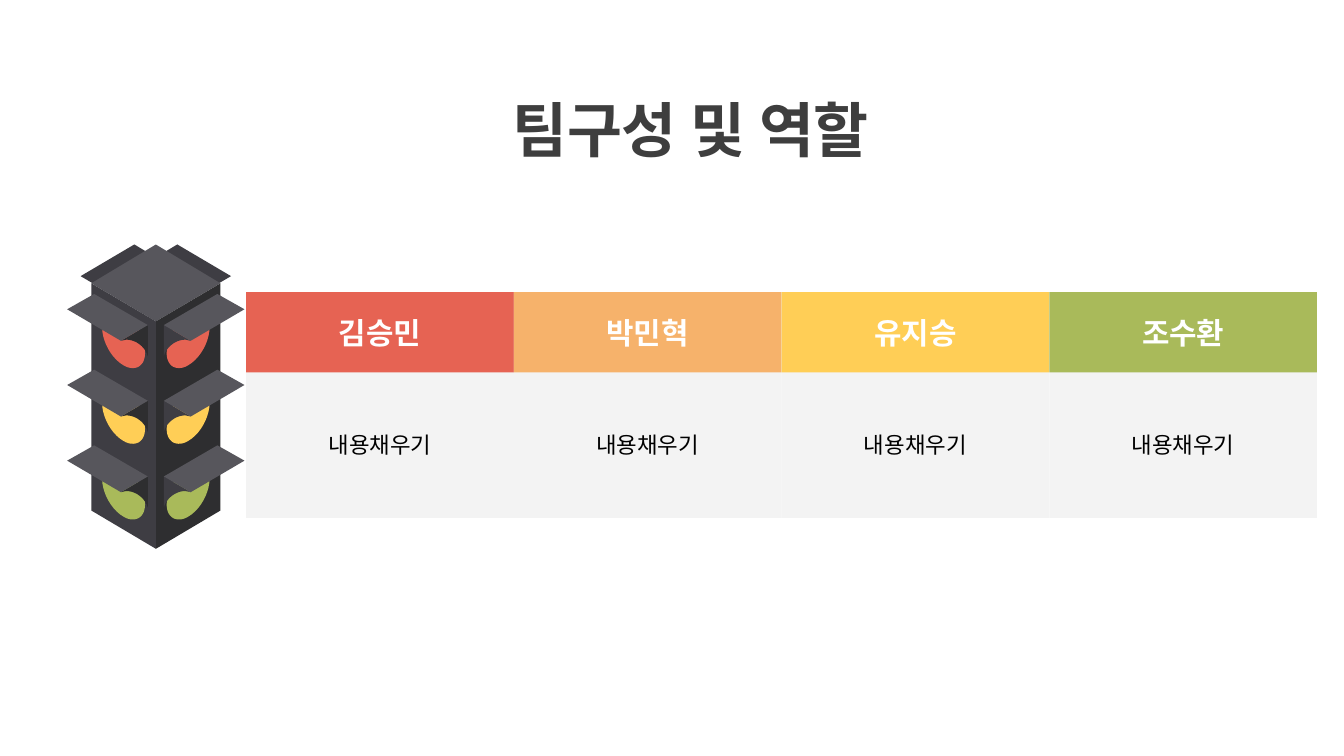
import pptx
import pptx.util
import pptx.dml.color
import pptx.enum.shapes
import pptx.enum.text

Pt = pptx.util.Pt
RGB = pptx.dml.color.RGBColor
ALIGN = pptx.enum.text.PP_ALIGN
ANCHOR = pptx.enum.text.MSO_ANCHOR

WHITE = RGB(0xFF, 0xFF, 0xFF)
BLACK = RGB(0x00, 0x00, 0x00)
INK = RGB(0x3E, 0x3E, 0x3E)
PALE = RGB(0xF3, 0xF3, 0xF3)
RED = RGB(0xE6, 0x63, 0x53)
ORANGE = RGB(0xF6, 0xB2, 0x6B)
YELLOW = RGB(0xFF, 0xCE, 0x56)
GREEN = RGB(0xA9, 0xBA, 0x5A)
GREY = RGB(0x57, 0x56, 0x5C)
DARK = RGB(0x3E, 0x3D, 0x43)
DEEP = RGB(0x2E, 0x2E, 0x30)

TEAM = [("김승민", RED), ("박민혁", ORANGE), ("유지승", YELLOW), ("조수환", GREEN)]
TASK = "내용채우기"

# Table columns
LEFT, TOP, WIDTH = 131.9, 156.5, 143.4

# Traffic light: x runs outward from the centre line, y down from each row
AXIS, ROW, PITCH = 83.5, 157.5, 40.55
FLAP = [(11.5, 131), (-2.9, 139.7), (25.9, 156.4), (40.3, 148)]
ROOF = [(0, 131), (34.6, 151.8), (0, 172.2), (-34.6, 151.8)]
WALL = [(34.6, 151.8), (0, 172.2), (0, 294), (34.6, 273.5)]
VISOR = [(33, 0), (4.3, 16.7), (18.7, 25.1), (47.5, 8.2)]
# A six-number entry is a curve: two control points and an end point
HOOD = [(4.3, 16.7), (4.3, 33.3), (5.8, 28.2, 10.8, 24.5, 15.8, 24.5), (18.7, 25.1)]
LENS = [(22.3, 9.4), (20.9, 9.4, 19.4, 9.8, 17.3, 10.9),
        (10.8, 14.5, 5.8, 23.8, 5.8, 31.7),
        (5.8, 36.8, 8.6, 39.7, 12.2, 39.7),
        (13.7, 39.7, 15.1, 39.5, 17.3, 38.2),
        (23.8, 34.6, 28.8, 25.3, 28.8, 18),
        (28.8, 12.3, 26.6, 9.4, 22.3, 9.4)]


def trace(steps, count=10):
    """Turn corners and curves into a list of points."""
    dots = [steps[0]]
    for step in steps[1:]:
        if len(step) == 2:
            dots.append(step)
            continue
        knots = [dots[-1], step[:2], step[2:4], step[4:]]
        for i in range(1, count + 1):
            t = i / count
            u = 1 - t
            parts = (u ** 3, 3 * u * u * t, 3 * u * t * t, t ** 3)
            dots.append(tuple(sum(w * k[n] for w, k in zip(parts, knots))
                              for n in (0, 1)))
    return dots


def paint(shape, color):
    shape.shadow.inherit = False
    shape.fill.solid()
    shape.fill.fore_color.rgb = color
    shape.line.fill.background()


def draw(group, steps, color, side=1, down=0):
    dots = [(Pt(AXIS + side * x), Pt(down + y)) for x, y in trace(steps)]
    pen = group.shapes.build_freeform(*dots[0])
    pen.add_line_segments(dots[1:], close=True)
    paint(pen.convert_to_shape(), color)


def write(shape, text, size, color, bold=False, anchor=ANCHOR.MIDDLE, pad=(7.2, 7.2)):
    frame = shape.text_frame
    form = {"word_wrap": True, "auto_size": pptx.enum.text.MSO_AUTO_SIZE.NONE,
            "vertical_anchor": anchor,
            "margin_left": Pt(pad[0]), "margin_right": Pt(pad[0]),
            "margin_top": Pt(pad[1]), "margin_bottom": Pt(pad[1])}
    for key, value in form.items():
        setattr(frame, key, value)
    para = frame.paragraphs[0]
    para.alignment = ALIGN.CENTER
    run = para.add_run()
    run.text = text
    for key, value in {"name": "Calibri", "size": Pt(size), "bold": bold}.items():
        setattr(run.font, key, value)
    run.font.color.rgb = color


def block(slide, x, high, color):
    kind = pptx.enum.shapes.MSO_SHAPE.RECTANGLE
    shape = slide.shapes.add_shape(kind, Pt(x), Pt(TOP), Pt(WIDTH), Pt(high))
    paint(shape, color)
    return shape


def add_title(slide):
    title = slide.shapes.title
    place = {"left": 46, "top": 42.5, "width": 648, "height": 32}
    for key, value in place.items():
        setattr(title, key, Pt(value))
    write(title, "팀구성 및 역할", 32, INK, True, ANCHOR.TOP)


def add_column(slide, x, name, color):
    block(slide, x, 121, PALE)
    write(block(slide, x, 43, color), name, 16, WHITE, True)
    box = slide.shapes.add_textbox(Pt(x + 7.2), Pt(203), Pt(129), Pt(70))
    write(box, TASK, 12, BLACK, pad=(0, 0))


def add_light(slide):
    group = slide.shapes.add_group_shape()
    sides = [(1, DEEP, DARK), (-1, DARK, DEEP)]
    # Housing
    for side, _, _ in sides:
        draw(group, FLAP, DARK, side)
    draw(group, ROOF, GREY)
    for side, wall, _ in sides:
        draw(group, WALL, wall, side)
    # Lamps under their visors
    for i, color in enumerate((RED, YELLOW, GREEN)):
        down = ROW + i * PITCH
        for side, _, hood in sides:
            draw(group, LENS, color, side, down)
            draw(group, HOOD, hood, side, down)
            draw(group, VISOR, GREY, side, down)


def main():
    deck = pptx.Presentation()
    deck.slide_width, deck.slide_height = Pt(720), Pt(405)
    slide = deck.slides.add_slide(deck.slide_layouts[5])
    add_title(slide)
    for i, (name, color) in enumerate(TEAM):
        add_column(slide, LEFT + i * WIDTH, name, color)
    add_light(slide)
    deck.save("out.pptx")


if __name__ == "__main__":
    main()
